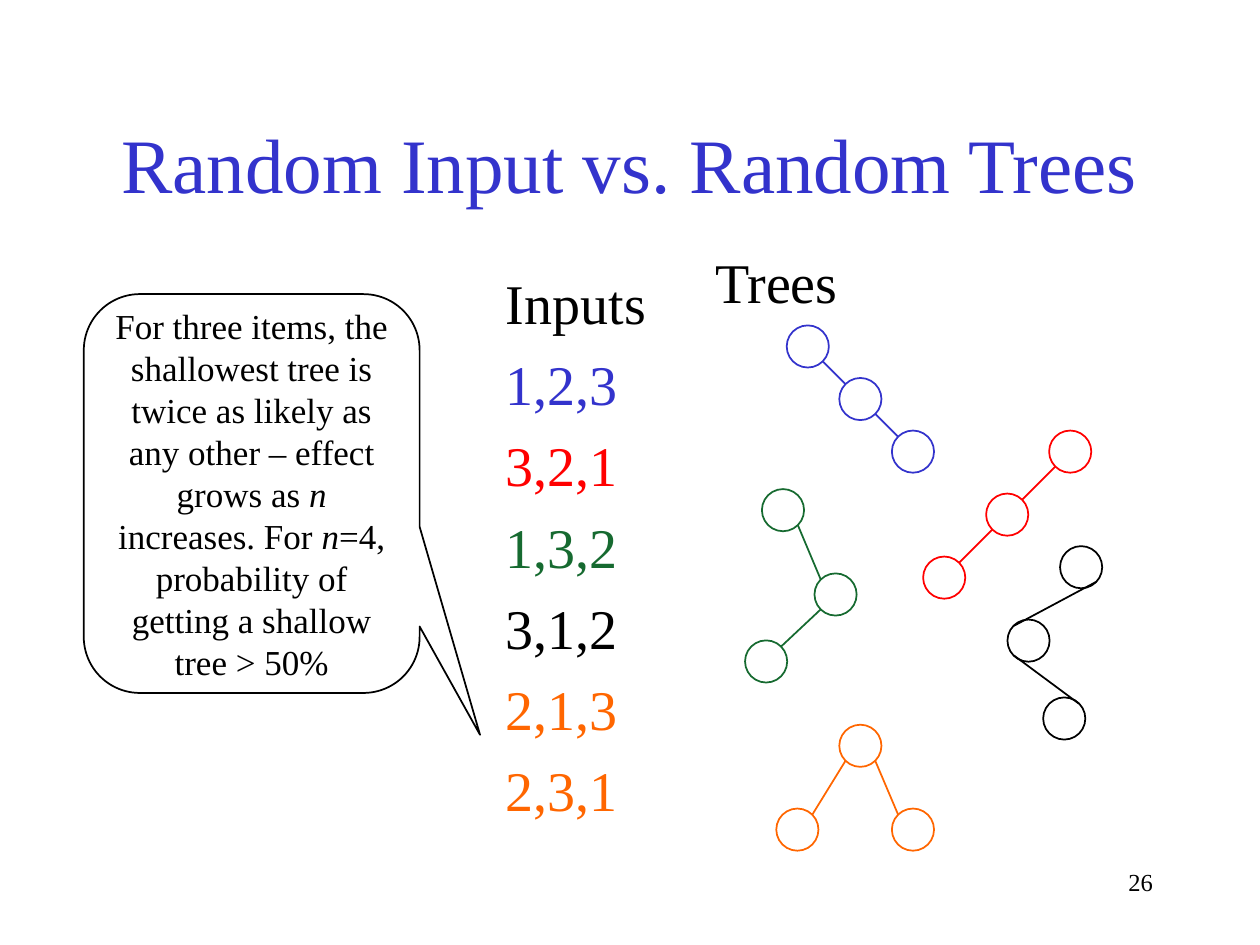
from pptx import Presentation
from pptx.dml.color import RGBColor
from pptx.enum.shapes import MSO_CONNECTOR, MSO_SHAPE
from pptx.enum.text import MSO_ANCHOR, PP_ALIGN
from pptx.oxml.ns import qn
from pptx.util import Cm, Pt
from lxml import etree

LEFT, CENTER, RIGHT = PP_ALIGN.LEFT, PP_ALIGN.CENTER, PP_ALIGN.RIGHT
TOP, MIDDLE = MSO_ANCHOR.TOP, MSO_ANCHOR.MIDDLE
OVAL, CALLOUT = MSO_SHAPE.OVAL, MSO_SHAPE.ROUNDED_RECTANGULAR_CALLOUT
STRAIGHT = MSO_CONNECTOR.STRAIGHT

FONT = "Times New Roman"
BLACK, BLUE, RED = "000000", "3333CC", "FF0000"
GREEN, ORANGE = "166A30", "FF6600"

NODE_SIZE = 0.85
NEAR, FAR = 0.15 * NODE_SIZE, 0.85 * NODE_SIZE
CORNERS = {"TL": (NEAR, NEAR), "TR": (FAR, NEAR),
           "BL": (NEAR, FAR), "BR": (FAR, FAR)}

INPUTS = [("Inputs", BLACK), ("1,2,3", BLUE), ("3,2,1", RED), ("1,3,2", GREEN),
          ("3,1,2", BLACK), ("2,1,3", ORANGE), ("2,3,1", ORANGE)]

TREES = [
    (BLUE, [(1.69, 1.69), (2.75, 2.75), (3.81, 3.81)],
     [(0, "BR", 1, "TL"), (1, "BR", 2, "TL")]),
    (RED, [(6.98, 3.81), (5.71, 5.08), (4.44, 6.35)],
     [(0, "BL", 1, "TR"), (1, "BL", 2, "TR")]),
    (ORANGE, [(2.75, 9.74), (3.81, 11.43), (1.48, 11.43)],
     [(0, "BR", 1, "TL"), (0, "BL", 2, "TR")]),
    (GREEN, [(1.19, 4.99), (2.25, 6.69), (0.85, 8.04)],
     [(0, "BR", 1, "TL"), (1, "BL", 2, "TR")]),
    (BLACK, [(7.2, 6.14), (6.14, 7.62), (6.86, 9.19)],
     [(0, "BR", 1, "TL"), (1, "BL", 2, "TR")]),
]

REMARK = [("For three items, the shallowest tree is twice as likely as any other "
           "– effect grows as ", False), ("n", True), (" increases. For ", False),
          ("n", True), ("=4, probability of getting a shallow tree > 50%", False)]


def color(value):
    return RGBColor.from_string(value)


def style(para, size, value, align=LEFT):
    para.alignment = align
    para.font.name = FONT
    para.font.size = Pt(size)
    para.font.color.rgb = color(value)


def add_lines(page, box, lines, size, align=LEFT, anchor=TOP):
    frame = page.shapes.add_textbox(*map(Cm, box)).text_frame
    frame.word_wrap = True
    frame.vertical_anchor = anchor
    for index, (text, value) in enumerate(lines):
        para = frame.paragraphs[0] if index == 0 else frame.add_paragraph()
        para.text = text
        if index:
            para.space_before = Pt(8)
        style(para, size, value, align)


def add_outline(page, kind, box, value):
    shape = page.shapes.add_shape(kind, *map(Cm, box))
    shape.shadow.inherit = False
    shape.fill.background()
    shape.line.color.rgb = color(value)
    shape.line.width = Pt(1)
    return shape


def add_edge(page, start, end, value):
    edge = page.shapes.add_connector(STRAIGHT, *map(Cm, start + end))
    edge.line.color.rgb = color(value)
    edge.line.width = Pt(1)
    etree.SubElement(edge._element.spPr, qn("a:effectLst"))


def add_tree(page, left, top, value, nodes, edges):
    def corner(node, name):
        x, y = nodes[node]
        dx, dy = CORNERS[name]
        return left + x + dx, top + y + dy

    for x, y in nodes:
        add_outline(page, OVAL, (left + x, top + y, NODE_SIZE, NODE_SIZE), value)
    for parent, parent_corner, child, child_corner in edges:
        add_edge(page, corner(parent, parent_corner), corner(child, child_corner), value)


def add_trees(page, left, top):
    add_lines(page, (left, top, 4.02, 2.33), [("Trees", BLACK)], 32)
    for value, nodes, edges in TREES:
        add_tree(page, left, top, value, nodes, edges)


def add_remark(page, box):
    callout = add_outline(page, CALLOUT, box, BLACK)
    for index, amount in enumerate((0.68, 0.605, 0.167)):
        callout.adjustments[index] = amount
    frame = callout.text_frame
    frame.word_wrap = True
    frame.vertical_anchor = MIDDLE
    para = frame.paragraphs[0]
    for text, italic in REMARK:
        span = para.add_run()
        span.text = text
        span.font.italic = italic
    style(para, 20, BLACK, CENTER)


def main():
    deck = Presentation()
    deck.slide_width, deck.slide_height = Cm(25.4), Cm(19.05)
    page = deck.slides.add_slide(deck.slide_layouts[6])
    add_lines(page, (18.2, 17.36, 5.29, 1.27), [("26", BLACK)], 14, RIGHT)
    add_lines(page, (1.9, 1.69, 21.59, 3.18),
              [("Random Input vs. Random Trees", BLUE)], 44, CENTER, MIDDLE)
    add_lines(page, (9.95, 5.29, 5.29, 12.28), INPUTS, 32)
    add_trees(page, 14.17, 4.87)
    add_remark(page, (1.69, 5.93, 6.77, 8.04))
    deck.save("out.pptx")


if __name__ == "__main__":
    main()
